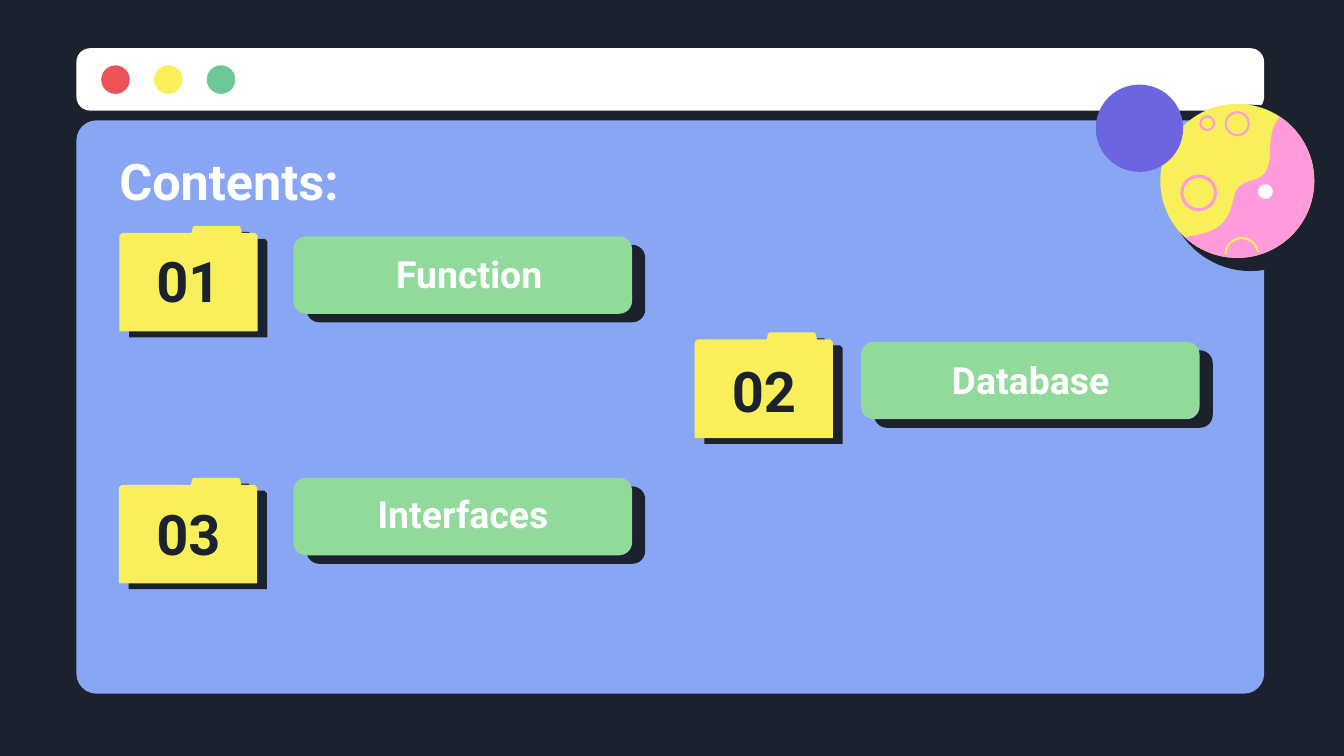
from math import cos, radians, sin
from pptx import Presentation
from pptx.dml.color import RGBColor
from pptx.enum.shapes import MSO_SHAPE
from pptx.enum.text import MSO_ANCHOR, MSO_AUTO_SIZE, PP_ALIGN
from pptx.util import Pt

ROUND, OVAL = MSO_SHAPE.ROUNDED_RECTANGLE, MSO_SHAPE.OVAL
TOP, MIDDLE, BOTTOM = MSO_ANCHOR.TOP, MSO_ANCHOR.MIDDLE, MSO_ANCHOR.BOTTOM
LEFT, CENTER = PP_ALIGN.LEFT, PP_ALIGN.CENTER
FIXED = MSO_AUTO_SIZE.NONE
DARK, WHITE, YELLOW, PINK = "1B222D", "FFFFFF", "F8EF5B", "FF9BDA"
RED, TEAL, BLUE, GREEN, PURPLE = "EB5358", "6DC797", "88A6F3", "92D99C", "6D65E0"


def color(code):
    return RGBColor.from_string(code)


def arc(x, y, r, start, end, steps=48):
    angles = [radians(start + (end - start) * i / steps) for i in range(steps + 1)]
    return [(x + r * cos(a), y + r * sin(a)) for a in angles]


def curve(a, b, c, d, steps=16):
    points = []
    for i in range(1, steps + 1):
        t = i / steps
        u = 1 - t
        points.append(tuple(
            u**3 * p + 3 * u * u * t * q + 3 * u * t * t * r + t**3 * s
            for p, q, r, s in zip(a, b, c, d)))
    return points


class Deck:
    font = "Roboto"
    inset = Pt(9.6)

    def __init__(self, width, height, back):
        self.file = Presentation()
        self.file.slide_width, self.file.slide_height = Pt(width), Pt(height)
        self.slide = self.file.slides.add_slide(self.file.slide_layouts[5])
        self.shapes = self.slide.shapes
        fill = self.slide.background.fill
        fill.solid()
        fill.fore_color.rgb = color(back)

    def paint(self, shape, fill=None, line=None, weight=1):
        shape.shadow.inherit = False
        if fill:
            shape.fill.solid()
            shape.fill.fore_color.rgb = color(fill)
        else:
            shape.fill.background()
        if line:
            shape.line.color.rgb = color(line)
            shape.line.width = Pt(weight)
        else:
            shape.line.fill.background()

    def panel(self, x, y, width, height, fill, bend):
        shape = self.shapes.add_shape(ROUND, Pt(x), Pt(y), Pt(width), Pt(height))
        shape.adjustments[0] = bend
        self.paint(shape, fill)

    def disc(self, x, y, r, **look):
        shape = self.shapes.add_shape(OVAL, Pt(x - r), Pt(y - r), Pt(2 * r), Pt(2 * r))
        self.paint(shape, **look)

    def outline(self, points, x=0, y=0, close=True, **look):
        spots = [(Pt(x + px), Pt(y + py)) for px, py in points]
        builder = self.shapes.build_freeform(*spots[0])
        builder.add_line_segments(spots[1:], close=close)
        self.paint(builder.convert_to_shape(), **look)

    def text(self, words, x, y, width, height, box=None, size=36, ink=WHITE,
             align=CENTER, anchor=MIDDLE):
        if box is None:
            box = self.shapes.add_textbox(0, 0, 0, 0)
        box.left, box.top, box.width, box.height = Pt(x), Pt(y), Pt(width), Pt(height)
        frame = box.text_frame
        frame.word_wrap, frame.auto_size = True, FIXED
        frame.vertical_anchor = anchor
        frame.margin_left = frame.margin_right = self.inset
        frame.margin_top = frame.margin_bottom = self.inset
        part = frame.paragraphs[0]
        part.alignment = align
        run = part.add_run()
        run.text = words
        run.font.name, run.font.size, run.font.bold = self.font, Pt(size), True
        run.font.color.rgb = color(ink)

    def title(self, words, *place, **look):
        box = self.shapes.title
        box.element.getparent().append(box.element)
        self.text(words, *place, box=box, **look)


deck = Deck(960, 540, DARK)

deck.panel(54.6, 34.4, 848.4, 44.6, WHITE, 0.22)
for i, fill in enumerate((RED, YELLOW, TEAL)):
    deck.disc(82.5 + 37.7 * i, 56.9, 10.2, fill=fill)
deck.panel(54.6, 86, 848.4, 409.5, BLUE, 0.035)

moon = (883.8, 129.2, 55)
deck.disc(893.2, 134.2, 59.4, fill=DARK)
deck.disc(*moon, fill=YELLOW)
for x, y, r, weight in ((856.2, 137.8, 12, 2.2), (862.3, 88, 4.9, 1.5), (883.8, 88.4, 8.2, 1.5)):
    deck.disc(x, y, r, line=PINK, weight=weight)
shore = [(846.7, 169.2), (869.8, 166.3), (877.7, 159.8), (881.3, 141.1), (885.6, 121),
         (907.2, 138.2), (907.2, 108), (907.2, 94.3), (910.8, 87.1), (914.4, 83.5)]
land = arc(*moon, -56.2, 132.8)
for i in range(0, 9, 3):
    land += curve(*shore[i:i + 4])
deck.outline(land, fill=PINK)
deck.outline(arc(887, 181.7, 11.6, 180, 352), close=False, line=YELLOW, weight=1.5)
deck.disc(903.9, 136.9, 5.3, fill=WHITE)
deck.disc(813.9, 91.6, 31.2, fill=PURPLE)

folder = [(0, 75.4), (0, 7), (2, 5), (51.5, 5), (52.5, 1), (53.5, 0), (85.5, 0),
          (86.5, 1), (87.5, 5), (97, 5), (98.8, 7), (98.8, 75.4)]
cards = (
    ("01", "Function", (85.2, 161.4), (209.5, 168.8), (92.9, 168.5), (236.2, 178.6)),
    ("02", "Database", (496.1, 237.5), (614.9, 244.1), (504, 247), (637.2, 254.2)),
    ("03", "Interfaces", (84.9, 341.3), (209.5, 341.3), (92.9, 349.2), (231.8, 349.9)),
)
for mark, name, tab, tile, spot, label in cards:
    for dx, dy, fill in ((9.4, 6.1, DARK), (0, 0, GREEN)):
        deck.panel(tile[0] + dx, tile[1] + dy, 242, 55.4, fill, 0.167)
    for dx, dy, fill in ((7, 4.2, DARK), (0, 0, YELLOW)):
        deck.outline(folder, tab[0] + dx, tab[1] + dy, fill=fill)
    deck.text(mark, *spot, 83.5, 62.6, size=40, ink=DARK)
    deck.text(name, *label, 198, 42.2, size=26.7, anchor=BOTTOM)

deck.title("Contents:", 75.6, 97.9, 195.8, 59, align=LEFT, anchor=TOP)

deck.file.save("out.pptx")
